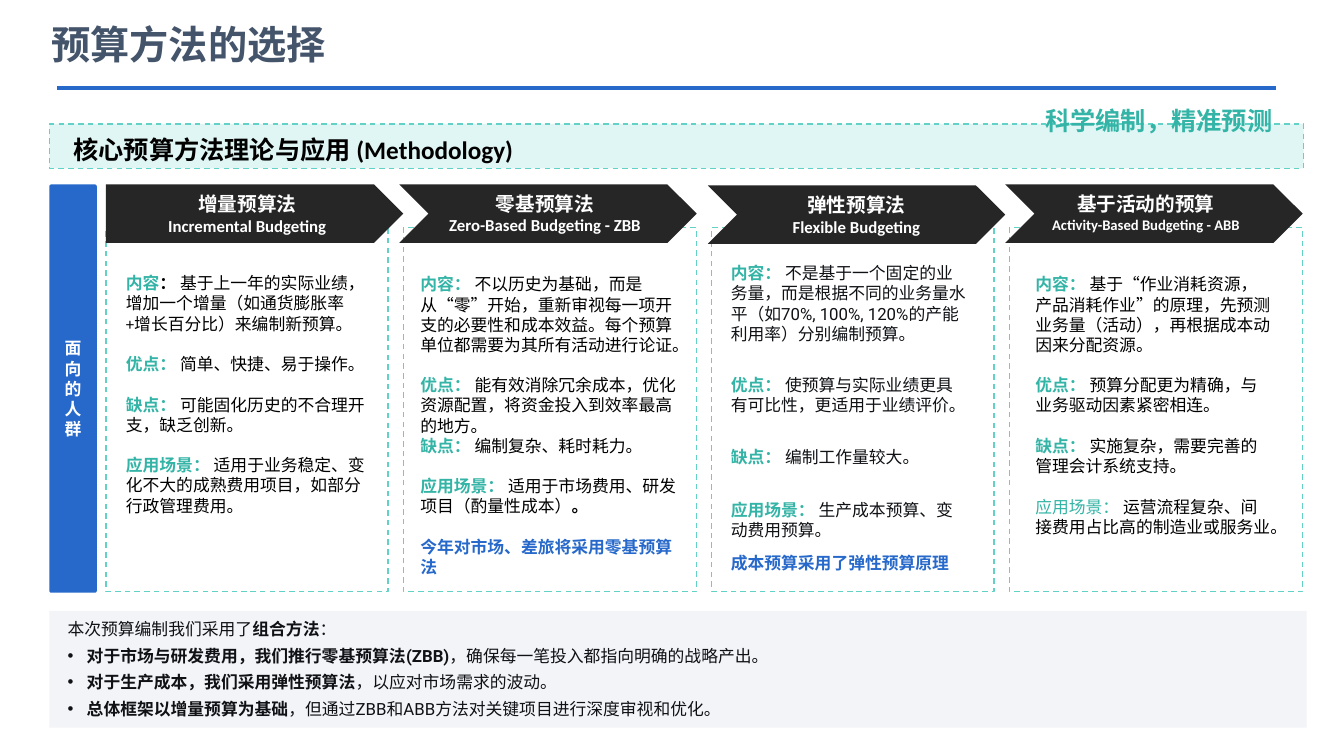
from dataclasses import dataclass

from lxml.etree import SubElement
from pptx import Presentation
from pptx.dml.color import RGBColor
from pptx.enum.dml import MSO_LINE
from pptx.enum.shapes import MSO_CONNECTOR, MSO_SHAPE
from pptx.enum.text import MSO_ANCHOR, MSO_AUTO_SIZE, PP_ALIGN
from pptx.oxml.ns import qn
from pptx.util import Pt

PX = 9144  # EMU per px, 100 px to the inch


@dataclass(frozen=True)
class Style:
    size: float
    font: str
    color: str
    bold: bool = True


class Theme:
    blue, teal, dash_teal, pale_teal = "2769CA", "33B4A6", "62D2C6", "E0F6F4"
    slate, black, ink, white = "44546A", "000000", "0F1115", "FFFFFF"
    arrow, panel = "262626", "F3F4F7"
    east_asian = "Noto Sans CJK SC"
    title = Style(28, east_asian, slate)
    section = Style(18, "Calibri", black)
    slogan = Style(18, "Roboto", teal)
    side = Style(12, east_asian, white)
    name = Style(14, east_asian, white)
    english = Style(12, "Calibri", white)
    english_small = Style(10.5, "Calibri", white)
    label = Style(12, "Calibri", teal)
    light_label = Style(12, "Calibri", teal, False)
    strong = Style(12, "Calibri", black)
    body = Style(12, "Calibri", black, False)
    note = Style(12, "Calibri", blue)
    ink_body = Style(12, "Roboto", ink, False)
    ink_strong = Style(12, "Roboto", ink)


# Content: a paragraph is (space before in points, [(text, style), ...])
TITLE = "预算方法的选择"
SECTION = "核心预算方法理论与应用 (Methodology)"
SLOGAN = "科学编制，精准预测"
SIDE = "面向的人群"
FLEXIBLE_NOTE = "成本预算采用了弹性预算原理"
GAP, WIDE_GAP = 14.5, 23


def point(gap, label, text, label_style=Theme.label, text_style=Theme.body):
    return gap, [(label + "： ", label_style), (text, text_style)]


def ink_point(gap, label, text):
    return point(gap, label, text, text_style=Theme.ink_body)


METHODS = [
    {"name": "增量预算法", "english": ("Incremental Budgeting", Theme.english),
     "frame": (105, 280), "arrow": (105, 183), "header": None, "text": (115, 266, 261, 277),
     "points": [
         (0, [("内容", Theme.label), ("：", Theme.strong),
              (" 基于上一年的实际业绩，增加一个增量（如通货膨胀率+增长百分比）来编制新预算。", Theme.body)]),
         point(GAP, "优点", "简单、快捷、易于操作。"),
         point(GAP, "缺点", "可能固化历史的不合理开支，缺乏创新。"),
         point(GAP, "应用场景", "适用于业务稳定、变化不大的成熟费用项目，如部分行政管理费用。")]},
    {"name": "零基预算法", "english": ("Zero-Based Budgeting - ZBB", Theme.english),
     "frame": (400, 291), "arrow": (396, 183), "header": (431, 185, 219, 59),
     "text": (407, 267, 279, 344),
     "points": [
         point(0, "内容", "不以历史为基础，而是从“零”开始，重新审视每一项开支的必要性和成本效益。"
                        "每个预算单位都需要为其所有活动进行论证。"),
         point(GAP, "优点", "能有效消除冗余成本，优化资源配置，将资金投入到效率最高的地方。"),
         point(0, "缺点", "编制复杂、耗时耗力。"),
         (GAP, [("应用场景： ", Theme.label),
                ("适用于市场费用、研发项目（酌量性成本）", Theme.body), ("。", Theme.strong)]),
         (GAP, [("今年对市场、差旅将采用零基预算法", Theme.note)])]},
    {"name": "弹性预算法", "english": ("Flexible Budgeting", Theme.english),
     "frame": (706, 280), "arrow": (702, 184), "header": None, "text": (715, 256, 254, 292),
     "points": [
         ink_point(0, "内容", "不是基于一个固定的业务量，而是根据不同的业务量水平"
                            "（如70%, 100%, 120%的产能利用率）分别编制预算。"),
         ink_point(22, "优点", "使预算与实际业绩更具有可比性，更适用于业绩评价。"),
         ink_point(WIDE_GAP, "缺点", "编制工作量较大。"),
         ink_point(WIDE_GAP, "应用场景", "生产成本预算、变动费用预算。")]},
    {"name": "基于活动的预算",
     "english": ("Activity-Based Budgeting - ABB", Theme.english_small),
     "frame": (1001, 291), "arrow": (997, 183), "header": (1027, 186, 219, 56),
     "text": (1017, 267, 256, 300),
     "points": [
         point(0, "内容", "基于“作业消耗资源，产品消耗作业”的原理，先预测业务量（活动），"
                        "再根据成本动因来分配资源。"),
         point(GAP, "优点", "预算分配更为精确，与业务驱动因素紧密相连。"),
         point(GAP, "缺点", "实施复杂，需要完善的管理会计系统支持。"),
         point(GAP, "应用场景", "运营流程复杂、间接费用占比高的制造业或服务业。", Theme.light_label)]},
]
SUMMARY = [
    (0, [("本次预算编制我们采用了", Theme.ink_body), ("组合方法", Theme.ink_strong),
         ("：", Theme.ink_body)]),
    (4.5, [("对于市场与研发费用，我们推行零基预算法(ZBB)", Theme.ink_strong),
           ("，确保每一笔投入都指向明确的战略产出。", Theme.ink_body)]),
    (4.5, [("对于生产成本，我们采用弹性预算法", Theme.ink_strong),
           ("，以应对市场需求的波动。", Theme.ink_body)]),
    (4.5, [("总体框架以增量预算为基础", Theme.ink_strong),
           ("，但通过ZBB和ABB方法对关键项目进行深度审视和优化。", Theme.ink_body)]),
]


# Helpers
def emu(*lengths):
    return [length * PX for length in lengths]


def rgb(color):
    return RGBColor.from_string(color)


def write(shape, paragraphs, align=PP_ALIGN.LEFT, anchor=MSO_ANCHOR.TOP):
    frame = shape.text_frame
    frame.word_wrap = True
    frame.auto_size = MSO_AUTO_SIZE.NONE
    frame.vertical_anchor = anchor
    for index, (gap, runs) in enumerate(paragraphs):
        paragraph = frame.add_paragraph() if index else frame.paragraphs[0]
        paragraph.alignment = align
        paragraph.space_before = Pt(gap)
        for text, style in runs:
            run = paragraph.add_run()
            run.text = text
            run.font.size, run.font.bold = Pt(style.size), style.bold
            run.font.name = style.font
            run.font.color.rgb = rgb(style.color)
            SubElement(run._r.get_or_add_rPr(), qn("a:ea"), typeface=Theme.east_asian)


def add_block(slide, kind, box, fill, dashed=False):
    shape = slide.shapes.add_shape(kind, *emu(*box))
    shape.shadow.inherit = False
    shape.fill.solid()
    shape.fill.fore_color.rgb = rgb(fill)
    if dashed:
        shape.line.color.rgb = rgb(Theme.dash_teal)
        shape.line.width = Pt(1)
        shape.line.dash_style = MSO_LINE.DASH
    else:
        shape.line.fill.background()
    return shape


def add_text(slide, box, paragraphs, align=PP_ALIGN.LEFT):
    write(slide.shapes.add_textbox(*emu(*box)), paragraphs, align)


def move(shape, box):
    shape.left, shape.top, shape.width, shape.height = emu(*box)


def add_method(slide, method, is_first):
    left, width = method["frame"]
    add_block(slide, MSO_SHAPE.RECTANGLE, (left, 226, width, 361), Theme.white, True)
    kind = MSO_SHAPE.PENTAGON if is_first else MSO_SHAPE.CHEVRON
    arrow = add_block(slide, kind, (*method["arrow"], 295, 58), Theme.arrow)
    header = [(0, [(method["name"], Theme.name)]), (0, [method["english"]])]
    if method["header"]:
        add_text(slide, method["header"], header, PP_ALIGN.CENTER)
    else:
        write(arrow, header, PP_ALIGN.CENTER, MSO_ANCHOR.MIDDLE)
    add_text(slide, method["text"], method["points"])


def main():
    presentation = Presentation()
    presentation.slide_width, presentation.slide_height = emu(1333, 750)
    slide = presentation.slides.add_slide(presentation.slide_layouts[1])
    title, summary = slide.placeholders

    # Title and rule
    move(title, (41, 20, 611, 53))
    write(title, [(0, [(TITLE, Theme.title)])], anchor=MSO_ANCHOR.MIDDLE)
    title.text_frame.paragraphs[0].line_spacing = 0.9
    rule = slide.shapes.add_connector(MSO_CONNECTOR.STRAIGHT, *emu(57, 87, 1266, 87))
    rule.line.color.rgb = rgb(Theme.blue)
    rule.line.width = Pt(3)
    SubElement(rule.element.spPr, qn("a:effectLst"))

    # Section band and side bar
    add_block(slide, MSO_SHAPE.RECTANGLE, (49, 123, 1244, 44), Theme.pale_teal, True)
    add_text(slide, (63, 128, 1247, 40), [(0, [(SECTION, Theme.section)])])
    add_text(slide, (1027, 100, 286, 40), [(0, [(SLOGAN, Theme.slogan)])])
    side = add_block(slide, MSO_SHAPE.ROUNDED_RECTANGLE, (49, 183, 47, 405), Theme.blue)
    side.adjustments[0] = 0.04
    write(side, [(0, [(SIDE, Theme.side)])], PP_ALIGN.CENTER, MSO_ANCHOR.MIDDLE)

    # Four methods
    for index, method in enumerate(METHODS):
        add_method(slide, method, index == 0)
    add_text(slide, (715, 543, 260, 30), [(0, [(FLEXIBLE_NOTE, Theme.note)])])

    # Summary list on its panel
    panel = add_block(slide, MSO_SHAPE.RECTANGLE, (49, 606, 1247, 116), Theme.panel)
    summary.element.addprevious(panel.element)
    move(summary, (57, 609, 1236, 112))
    write(summary, SUMMARY)
    for index, paragraph in enumerate(summary.text_frame.paragraphs):
        properties = paragraph._p.get_or_add_pPr()
        indent = 19 * PX if index else 0
        properties.set("marL", str(indent))
        properties.set("indent", str(-indent))
        if index:
            SubElement(properties, qn("a:buChar"), char="•")
        else:
            SubElement(properties, qn("a:buNone"))

    presentation.save("out.pptx")


if __name__ == "__main__":
    main()
